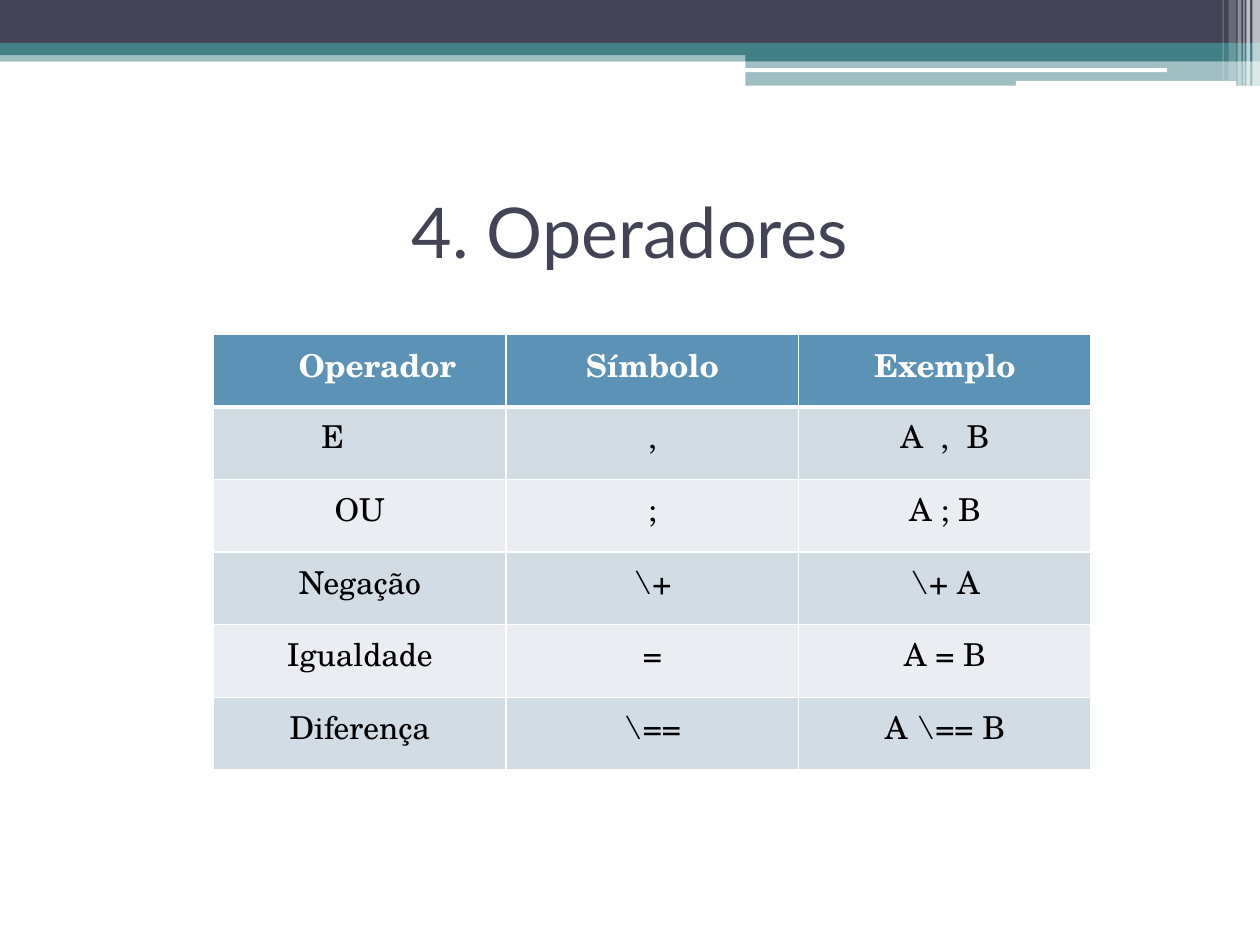
from lxml import etree
from pptx import Presentation
from pptx.dml.color import RGBColor
from pptx.enum import shapes, text
from pptx.oxml import ns
from pptx.util import Pt

NAVY = RGBColor(0x42, 0x44, 0x56)
TEAL = RGBColor(0x43, 0x80, 0x86)
BLUE = RGBColor(0x5C, 0x92, 0xB5)
BAND_DARK = RGBColor(0xD2, 0xDC, 0xE5)
BAND_LIGHT = RGBColor(0xEA, 0xEE, 0xF3)
WHITE = RGBColor(0xFF, 0xFF, 0xFF)
BLACK = RGBColor(0, 0, 0)

RECT = shapes.MSO_SHAPE.RECTANGLE
ROUND = shapes.MSO_SHAPE.ROUNDED_RECTANGLE

# left, top, width, height, colour, opacity in percent
BANDS = [
    (0, 28.8, 720, 6.5, TEAL, 50),
    (0, 0, 720, 24.5, NAVY, 100),
    (0, 24.5, 720, 7, TEAL, 100),
    (426, 28, 294, 7, TEAL, 100),
    (426, 35, 294, 14, TEAL, 50),
]
HIGHLIGHTS = [(425.5, 39, 241.5, 2.2), (580.5, 46.2, 126, 2.8)]
# left, width, height, opacity in percent
STRIPES = [
    (715.6, 4.4, 49, 65),
    (712.2, 2.2, 49, 65),
    (710.5, 0.7, 49, 60),
    (707.2, 2.2, 49, 40),
    (702, 4.4, 46, 20),
    (698.6, 0.7, 46, 30),
]
OPERATORS = [
    ("Operador", "Símbolo", "Exemplo"),
    ("E", ",", "A  ,  B"),
    ("OU", ";", "A ; B"),
    ("Negação", "\\+", "\\+ A"),
    ("Igualdade", "=", "A = B"),
    ("Diferença", "\\==", "A \\== B"),
]
# Extra left and right margins that shift two labels off centre
SHIFTS = {"Operador": (20, 0), "E": (0, 31)}


def write(tf, content, *, font, size, color, bold=False):
    p = tf.paragraphs[0]
    p.alignment = text.PP_ALIGN.CENTER
    r = p.add_run()
    r.text = content
    r.font.name, r.font.size, r.font.bold = font, Pt(size), bold
    r.font.color.rgb = color


def set_borders(cell, **widths):
    """Add white borders; keys are L, R, T, B and values are points."""
    tc_pr = cell._tc.get_or_add_tcPr()
    for side, width in widths.items():
        ln = etree.SubElement(tc_pr, ns.qn(f"a:ln{side}"), w=str(Pt(width)))
        fill = etree.SubElement(ln, ns.qn("a:solidFill"))
        etree.SubElement(fill, ns.qn("a:srgbClr"), val=str(WHITE))


class Deck:
    title_font = "Lato"
    table_font = "TeX Gyre Schola"

    def __init__(self, prs):
        self.s = prs.slides.add_slide(prs.slide_layouts[5])

    def bar(self, x, y, w, h, color, opacity=100, kind=RECT):
        sp = self.s.shapes.add_shape(kind, Pt(x), Pt(y), Pt(w), Pt(h))
        sp.shadow.inherit = False
        sp.line.fill.background()
        sp.fill.solid()
        sp.fill.fore_color.rgb = color
        if opacity < 100:
            clr = sp._element.spPr.find(".//" + ns.qn("a:srgbClr"))
            etree.SubElement(clr, ns.qn("a:alpha"), val=str(opacity * 1000))

    def title(self, content, x, y, w, h):
        sp = self.s.shapes.title
        sp.left, sp.top, sp.width, sp.height = Pt(x), Pt(y), Pt(w), Pt(h)
        sp.text_frame.vertical_anchor = text.MSO_ANCHOR.MIDDLE
        write(sp.text_frame, content, font=self.title_font, size=40, color=NAVY)

    def table(self, rows, x, y, col_w, row_h):
        n_rows, n_cols = len(rows), len(rows[0])
        table = self.s.shapes.add_table(
            n_rows, n_cols, Pt(x), Pt(y), Pt(col_w * n_cols), Pt(row_h * n_rows)
        ).table
        for col in table.columns:
            col.width = Pt(col_w)
        for i, row in enumerate(rows):
            table.rows[i].height = Pt(row_h)
            for j, content in enumerate(row):
                self.cell(table.cell(i, j), content, i)

    def cell(self, cell, content, row):
        header = row == 0
        left, right = SHIFTS.get(content, (0, 0))
        cell.margin_left, cell.margin_right = Pt(7.2 + left), Pt(7.2 + right)
        set_borders(cell, L=1, R=1, T=3 if row == 1 else 1, B=3 if header else 1)
        cell.fill.solid()
        band = BAND_DARK if row % 2 else BAND_LIGHT
        cell.fill.fore_color.rgb = BLUE if header else band
        write(cell.text_frame, content, font=self.table_font, size=18,
              color=WHITE if header else BLACK, bold=header)


def main():
    prs = Presentation()
    prs.slide_width, prs.slide_height = Pt(720), Pt(540)
    deck = Deck(prs)
    for band in BANDS:
        deck.bar(*band)
    for highlight in HIGHLIGHTS:
        deck.bar(*highlight, WHITE, kind=ROUND)
    for x, w, h, opacity in STRIPES:
        deck.bar(x, 0, w, h, WHITE, opacity)
    deck.title("4. Operadores", 36, 90, 648, 84)
    deck.table(OPERATORS, 122, 191, 167.2, 41.5)
    prs.save("out.pptx")


if __name__ == "__main__":
    main()
